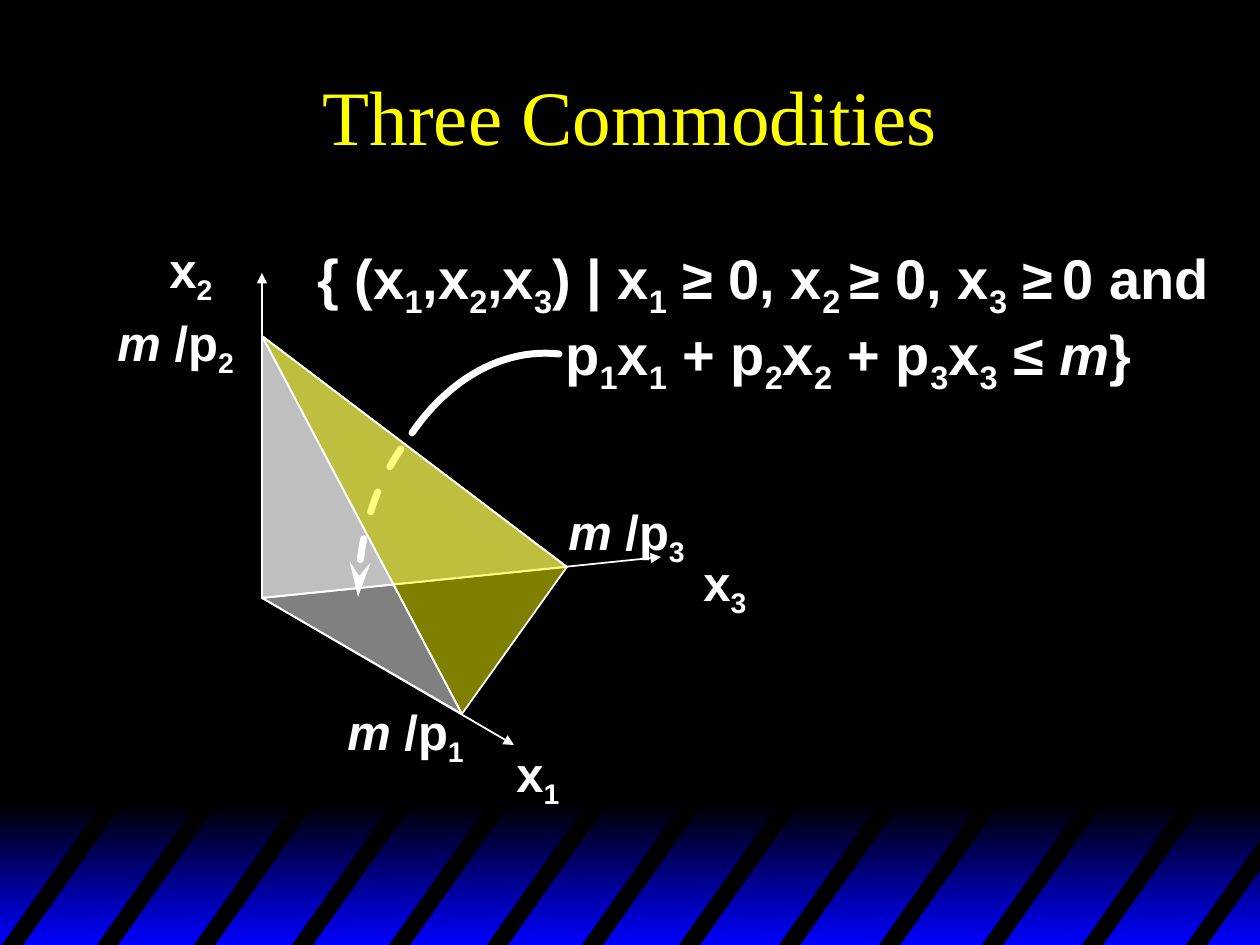
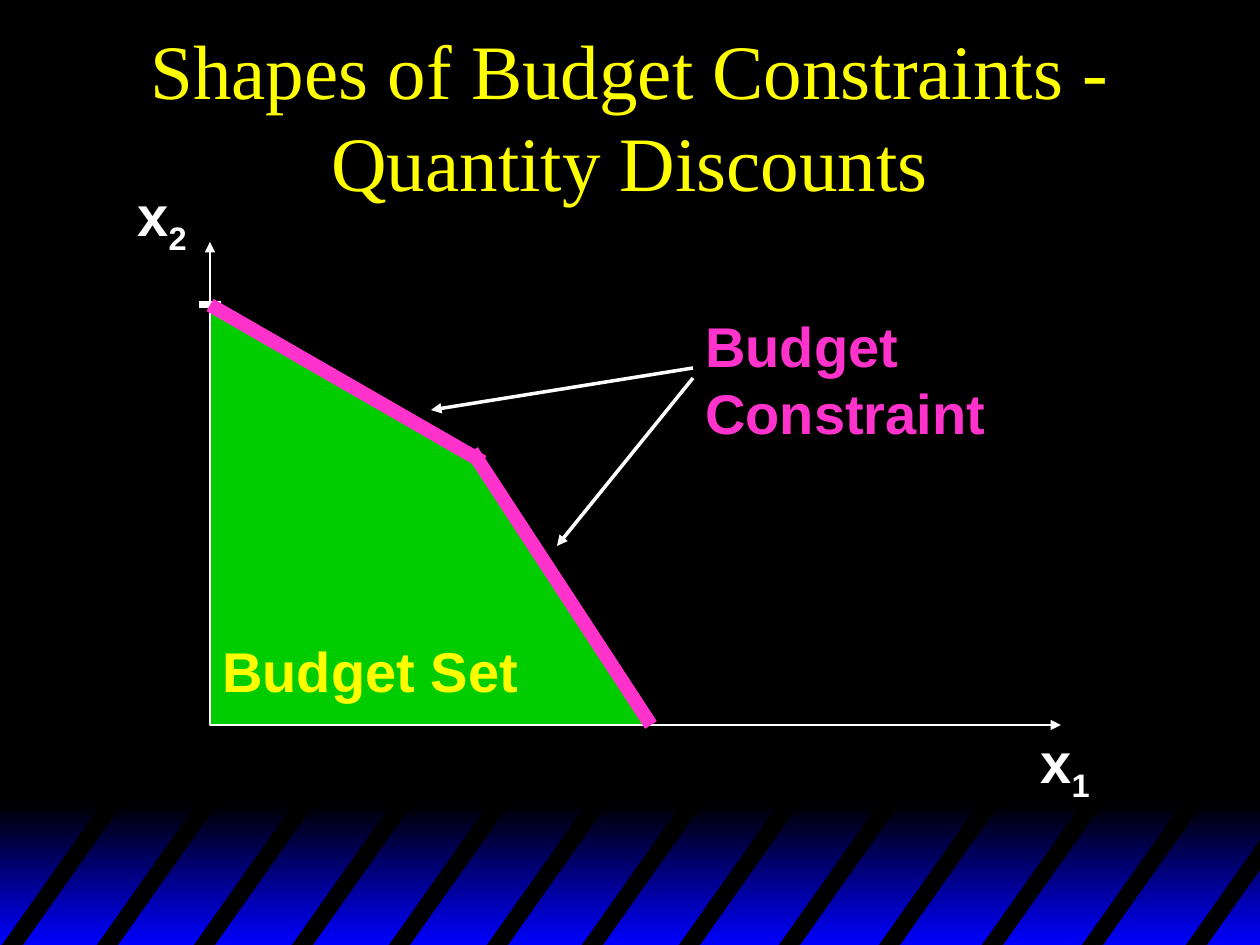
from dataclasses import dataclass

from lxml.etree import SubElement
from pptx import Presentation
from pptx.dml.color import RGBColor
from pptx.enum.dml import MSO_LINE
from pptx.enum.shapes import MSO_CONNECTOR, MSO_SHAPE
from pptx.enum.text import MSO_ANCHOR, MSO_AUTO_SIZE, PP_ALIGN
from pptx.oxml.ns import qn
from pptx.util import Emu, Pt

PIXELS_PER_INCH = 126


@dataclass(frozen=True)
class Theme:
    black: str = "000000"
    blue: str = "0000FF"
    white: str = "FFFFFF"
    yellow: str = "FFFF00"
    green: str = "00CC00"
    pink: str = "FF33CC"
    title_font: str = "Times New Roman"
    body_font: str = "Arial"
    title_size: int = 44
    body_size: int = 32
    label_size: int = 28


@dataclass(frozen=True)
class Box:
    left: int
    top: int
    width: int
    height: int

    def place(self, point):
        return px(self.left + point[0]), px(self.top + point[1])

    def inner(self, left, top, width, height):
        return Box(self.left + left, self.top + top, width, height)

    def extent(self):
        return (*self.place((0, 0)), px(self.width), px(self.height))


THEME = Theme()
SLIDE = Box(0, 0, 1260, 945)
TITLE = Box(95, 31, 1070, 168)
BAND = Box(0, 799, 1260, 146)


def px(length):
    return Emu(round(length * 914400 / PIXELS_PER_INCH))


def color(value):
    return RGBColor.from_string(value)


def format_line(shape, line_color, width, arrow=None, arrow_length="med", dashed=False,
                rounded=False):
    shape.line.color.rgb = color(line_color)
    shape.line.width = Pt(width)
    if dashed:
        shape.line.dash_style = MSO_LINE.DASH
    outline = shape.element.spPr.find(qn("a:ln"))
    if rounded:
        outline.set("cap", "rnd")
    if arrow:
        SubElement(outline, qn("a:tailEnd"), type=arrow, len=arrow_length)


def add_line(slide, box, start, end, line_color=THEME.white, width=1, arrow=None):
    connector = slide.shapes.add_connector(
        MSO_CONNECTOR.STRAIGHT, *box.place(start), *box.place(end)
    )
    format_line(connector, line_color, width, arrow)
    SubElement(connector.element.spPr, qn("a:effectLst"))


def add_outline(slide, box, points, closed=True):
    first, *others = [box.place(point) for point in points]
    builder = slide.shapes.build_freeform(*first)
    builder.add_line_segments(others, close=closed)
    shape = builder.convert_to_shape()
    shape.shadow.inherit = False
    return shape


def add_area(slide, box, points, fill, opacity=100, outlined=True):
    shape = add_outline(slide, box, points)
    shape.fill.solid()
    shape.fill.fore_color.rgb = color(fill)
    if opacity < 100:
        fill_color = shape.element.spPr.find(qn("a:solidFill"))[0]
        SubElement(fill_color, qn("a:alpha"), val=str(opacity * 1000))
    if outlined:
        format_line(shape, THEME.white, 1)
    else:
        shape.line.fill.background()


def add_curve(slide, box, controls, steps=24, **line_format):
    def point_at(t):
        weights = ((1 - t) ** 3, 3 * t * (1 - t) ** 2, 3 * t**2 * (1 - t), t**3)
        return tuple(
            sum(weight * control[axis] for weight, control in zip(weights, controls))
            for axis in (0, 1)
        )

    points = [point_at(step / steps) for step in range(steps + 1)]
    shape = add_outline(slide, box, points, closed=False)
    shape.fill.background()
    format_line(shape, THEME.white, 4, rounded=True, **line_format)


def split_markup(text):
    pieces, subscript, italic = [], False, False
    current = ""
    for letter in text:
        if letter not in "_*":
            current += letter
            continue
        if current:
            pieces.append((current, subscript, italic))
        current = ""
        subscript ^= letter == "_"
        italic ^= letter == "*"
    if current:
        pieces.append((current, subscript, italic))
    return pieces


def write_text(frame, text, size, font, text_color, bold=False, align=PP_ALIGN.LEFT,
               indents=(0,)):
    for index, line in enumerate(text.split("\n")):
        paragraph = frame.add_paragraph() if index else frame.paragraphs[0]
        paragraph.alignment = align
        if indents[index]:
            paragraph._p.get_or_add_pPr().set("marL", str(px(indents[index])))
        for piece, subscript, italic in split_markup(line):
            run = paragraph.add_run()
            run.text = piece
            run.font.size = Pt(size)
            run.font.name = font
            run.font.bold = bold
            run.font.italic = italic
            run.font.color.rgb = color(text_color)
            if subscript:
                run.font._element.set("baseline", "-25000")


def add_text(slide, box, text, size=THEME.body_size, text_color=THEME.white,
             wrap=False, **text_format):
    frame = slide.shapes.add_textbox(*box.extent()).text_frame
    frame.word_wrap = wrap
    write_text(frame, text, size, THEME.body_font, text_color, bold=True, **text_format)


def add_titled_slide(presentation, title):
    slide = presentation.slides.add_slide(presentation.slide_layouts[5])
    placeholder = slide.shapes.title
    placeholder.left, placeholder.top, placeholder.width, placeholder.height = TITLE.extent()
    frame = placeholder.text_frame
    frame.auto_size = MSO_AUTO_SIZE.NONE
    frame.word_wrap = True
    frame.vertical_anchor = MSO_ANCHOR.MIDDLE
    write_text(frame, title, THEME.title_size, THEME.title_font, THEME.yellow,
               align=PP_ALIGN.CENTER)
    return slide


def draw_striped_band(slide, box):
    gradient_top = 5
    base = box.inner(0, gradient_top, box.width, box.height - gradient_top)
    rectangle = slide.shapes.add_shape(MSO_SHAPE.RECTANGLE, *base.extent())
    rectangle.shadow.inherit = False
    rectangle.line.fill.background()
    rectangle.fill.gradient()
    rectangle.fill.gradient_angle = 270
    for stop, stop_color in zip(rectangle.fill.gradient_stops, (THEME.black, THEME.blue)):
        stop.color.rgb = color(stop_color)

    lean, thickness = 103, 21
    for start in (2, 97, 194, 292, 389, 487, 582, 679, 779, 879, 982, 1082, 1186):
        edges = []
        for foot in (start, start + thickness):
            rise = min(1, (box.width - foot) / lean)
            edges.append([(foot, box.height), (foot + rise * lean, box.height * (1 - rise))])
        left_edge, right_edge = edges
        add_area(slide, box, left_edge + right_edge[::-1], THEME.black, outlined=False)


def style_master(presentation, slide):
    master = presentation.slide_master
    master.background.fill.solid()
    master.background.fill.fore_color.rgb = color(THEME.black)
    title_count = len(slide.shapes)
    draw_striped_band(slide, BAND)
    for position, shape in enumerate(list(slide.shapes)[title_count:]):
        master.shapes.element.insert(2 + position, shape.element)


def draw_budget_pyramid(slide, box):
    origin, top, right, front = (158, 365), (158, 103), (463, 334), (358, 481)
    for tip in ((158, 40), (410, 512), (557, 324)):
        add_line(slide, box, origin, tip, arrow="triangle")
    for text, left, label_top, width in (
        ("x_2_", 53, 0, 68),
        ("x_1_", 400, 504, 68),
        ("x_3_", 587, 313, 68),
        ("*m */p_2_", 1, 73, 142),
        ("*m* /p_1_", 231, 462, 142),
        ("*m* /p_3_", 452, 262, 142),
    ):
        add_text(slide, box.inner(left, label_top, width, 79), text, size=THEME.label_size)
    add_area(slide, box, (top, right, origin), THEME.white, opacity=50)
    add_curve(slide, box, ((297, 216), (269, 256), (254, 309), (254, 364)),
              dashed=True, arrow="stealth", arrow_length="lg")
    add_curve(slide, box, ((308, 200), (346, 145), (400, 115), (455, 121)))
    add_area(slide, box, (top, front, right), THEME.yellow, opacity=50)
    add_area(slide, box, (top, front, origin), THEME.white, opacity=50)


def draw_budget_formula(slide, box):
    text = (
        "{ (x_1_,x_2_,x_3_) | x_1_ ≥ 0, x_2 _≥ 0, x_3_ ≥_ _0 and\n"
        "p_1_x_1_ + p_2_x_2_ + p_3_x_3_ ≤ *m*}"
    )
    add_text(slide, box, text, wrap=True, indents=(0, 248))


def draw_discount_chart(slide, box):
    origin, top, kink, end = (85, 551), (85, 131), (347, 277), (526, 551)
    add_area(slide, box, (top, kink, end, origin), THEME.green)
    for tip in ((85, 68), (936, 551)):
        add_line(slide, box, origin, tip, arrow="triangle")
    add_line(slide, box, (74, 131), (96, 131), width=4)
    for start, tip in (((568, 194), (306, 236)), ((568, 204), (432, 372))):
        add_line(slide, box, start, tip, width=2, arrow="triangle")
    add_text(slide, box.inner(0, 0, 74, 89), "x_2_")
    add_text(slide, box.inner(903, 547, 74, 89), "x_1_")
    add_text(slide, box.inner(85, 456, 360, 79), "Budget Set",
             text_color=THEME.yellow, wrap=True)
    add_text(slide, box.inner(568, 131, 325, 147), "Budget Constraint",
             text_color=THEME.pink, wrap=True)
    for start, finish in ((kink, end), (top, (358, 288))):
        add_line(slide, box, start, finish, line_color=THEME.pink, width=8)


def main():
    presentation = Presentation()
    presentation.slide_width = px(SLIDE.width)
    presentation.slide_height = px(SLIDE.height)

    commodities = add_titled_slide(presentation, "Three Commodities")
    style_master(presentation, commodities)
    draw_budget_pyramid(commodities, Box(104, 233, 670, 583))
    draw_budget_formula(commodities, Box(305, 237, 955, 166))

    discounts = add_titled_slide(
        presentation, "Shapes of Budget Constraints - Quantity Discounts"
    )
    draw_discount_chart(discounts, Box(125, 174, 980, 636))

    presentation.save("out.pptx")


if __name__ == "__main__":
    main()
